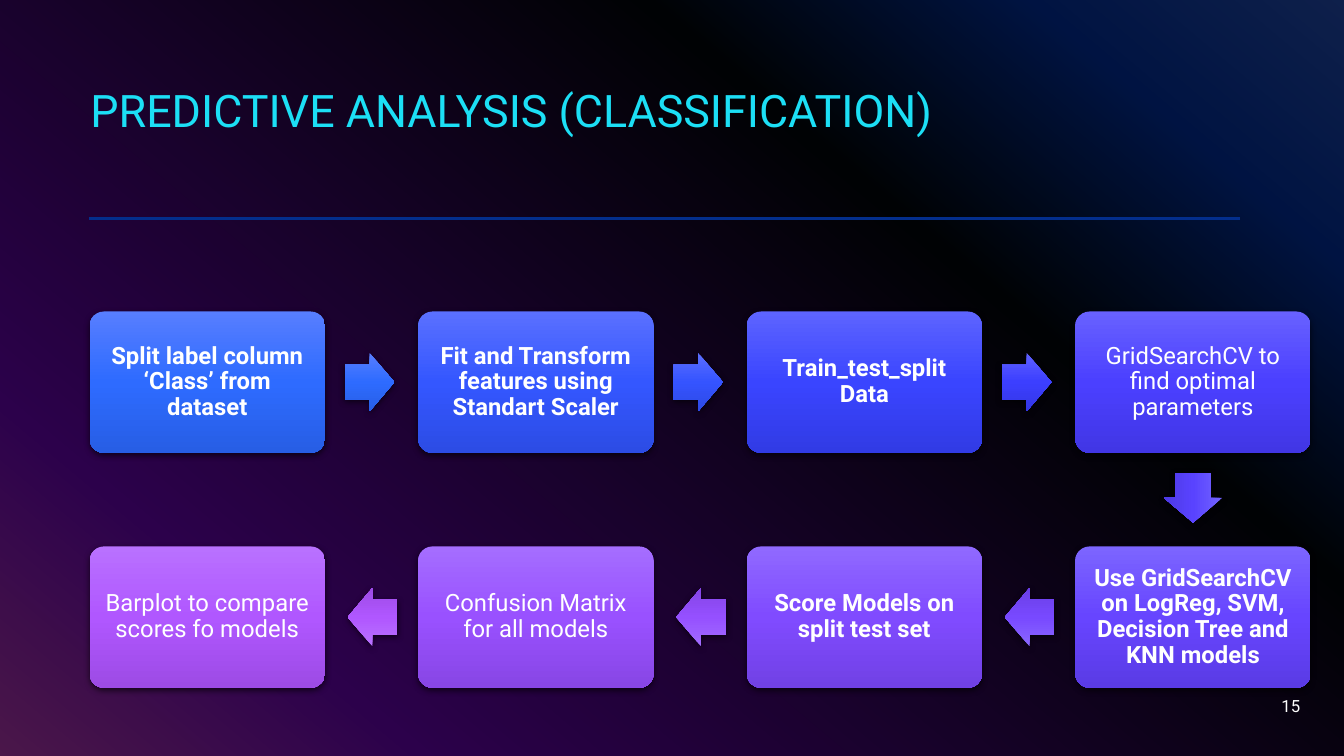
from dataclasses import dataclass

from lxml.etree import SubElement
from pptx import Presentation
from pptx.dml.color import RGBColor
from pptx.enum.shapes import MSO_CONNECTOR as Connector, MSO_SHAPE as Shape
from pptx.enum.text import MSO_ANCHOR as Anchor, PP_ALIGN as Align
from pptx.oxml.ns import qn
from pptx.util import Cm, Pt


@dataclass(frozen=True)
class Theme:
    font: str = "Roboto"
    title_size: int = 32
    step_size: int = 17
    number_size: int = 12
    title: str = "1CDFF5"
    text: str = "FFFFFF"
    rule: str = "032E8C"
    dark: str = "000000"
    backdrop: tuple = ((0, "316CFC"), (14, "0343DF"), (31, "02090E"),
                       (81, "9405FC"), (100, "FC4EFB"))


@dataclass(frozen=True)
class Step:
    text: str
    bold: bool
    box_colors: str
    arrow_colors: str = ""


THEME = Theme()
WIDTH, HEIGHT = 33.87, 19.05

# Flow grid, in centimetres
COLUMNS = 4
LEFT, PITCH = 2.26, 8.28
ROW_TOPS = (7.85, 13.77)
BOX_WIDTH, BOX_HEIGHT = 5.93, 3.56
ARROW_LENGTH, ARROW_BREADTH = 1.25, 1.47

# Colours run from top to bottom of each shape
STEPS = (
    Step("Split label column ‘Class’ from dataset", True,
         "577EFF 2E6BFF 275EE5", "577EFF 2E6BFF 275EE5"),
    Step("Fit and Transform features using Standart Scaler", True,
         "5A70FF 3457FF 2C4CE5", "5B6EFF 3554FF 2D49E5"),
    Step("Train_test_split Data", True,
         "5D64FF 3A45FF 313BE5", "5E60FF 3C3FFF 3336E5"),
    Step("GridSearchCV to find optimal parameters", False,
         "6861FF 4B40FF 4136E5", "7263FF 5943FF 4D39E5"),
    Step("Use GridSearchCV on LogReg, SVM, Decision Tree and KNN models", True,
         "7C65FF 6745FF 5A3BE5", "8A67FF 7849FF 6A3FE5"),
    Step("Score Models on split test set", True,
         "9069FF 804BFF 7141E5", "A26CFF 9550FF 8445E5"),
    Step("Confusion Matrix for all models", False,
         "A56DFF 9951FF 8846E5", "B971FF B057FF 9D4BE5"),
    Step("Barplot to compare scores fo models", False,
         "B971FF B057FF 9D4BE5"),
)


def add_color(parent, color, alpha=100):
    node = SubElement(parent, qn("a:srgbClr"), val=color)
    if alpha < 100:
        SubElement(node, qn("a:alpha"), val=str(alpha * 1000))


def set_gradient(owner, fill, stops, angle):
    """Fill with any number of stops; the angle runs clockwise."""
    fill.gradient()
    fill.gradient_angle = 360 - angle
    stop_list = next(owner._element.iter(qn("a:gsLst")))
    for stop in list(stop_list):
        stop_list.remove(stop)
    for position, color in stops:
        stop = SubElement(stop_list, qn("a:gs"), pos=str(position * 1000))
        add_color(stop, color)


def write_text(shape, text, size, color, align, anchor, bold=False):
    frame = shape.text_frame
    frame.word_wrap = True
    frame.vertical_anchor = anchor
    frame.text = text
    paragraph = frame.paragraphs[0]
    paragraph.alignment = align
    paragraph.line_spacing = 0.9
    font = paragraph.runs[0].font
    font.name, font.size, font.bold = THEME.font, Pt(size), bold
    font.color.rgb = RGBColor.from_string(color)


def add_label(slide, box, *style):
    label = slide.shapes.add_textbox(*map(Cm, box))
    write_text(label, *style)


def add_backdrop(slide):
    set_gradient(slide, slide.background.fill, THEME.backdrop, 130)
    veil = slide.shapes.add_shape(Shape.RECTANGLE, 0, 0, Cm(WIDTH), Cm(HEIGHT))
    veil.shadow.inherit = False
    veil.line.fill.background()
    veil.fill.solid()
    veil.fill.fore_color.rgb = RGBColor.from_string(THEME.dark)
    color = veil._element.spPr.find(qn("a:solidFill"))[0]
    SubElement(color, qn("a:alpha"), val="70000")


def add_rule(slide):
    rule = slide.shapes.add_connector(
        Connector.STRAIGHT, Cm(2.24), Cm(5.5), Cm(31.24), Cm(5.5))
    rule.line.width = Pt(2)
    rule.line.color.rgb = RGBColor.from_string(THEME.rule)
    SubElement(rule._element.spPr, qn("a:effectLst"))


def add_glossy_shape(slide, kind, box, colors, adjustments):
    shape = slide.shapes.add_shape(kind, *map(Cm, box))
    for index, value in enumerate(adjustments):
        shape.adjustments[index] = value
    set_gradient(shape, shape.fill, zip((0, 50, 100), colors.split()), 90)
    shape.line.fill.background()
    shape.shadow.inherit = False
    effects = shape._element.spPr.find(qn("a:effectLst"))
    shadow = SubElement(effects, qn("a:outerShdw"), blurRad=str(Pt(4.5)),
                        dist=str(Pt(1.5)), dir="5400000", rotWithShape="0")
    add_color(shadow, THEME.dark, 63)
    return shape


def add_step(slide, step, left, top):
    box = add_glossy_shape(slide, Shape.ROUNDED_RECTANGLE,
                           (left, top, BOX_WIDTH, BOX_HEIGHT),
                           step.box_colors, (0.1,))
    frame = box.text_frame
    frame.margin_left = frame.margin_right = Cm(0.18)
    frame.margin_top = frame.margin_bottom = Cm(0.18)
    write_text(box, step.text, THEME.step_size, THEME.text,
               Align.CENTER, Anchor.MIDDLE, step.bold)


def add_arrow(slide, colors, left, top, rotation):
    arrow = add_glossy_shape(slide, Shape.RIGHT_ARROW,
                             (left, top, ARROW_LENGTH, ARROW_BREADTH),
                             colors, (0.6, 0.5))
    arrow.rotation = rotation


def add_flow(slide):
    """Steps run right along the first row, then back along the second."""
    for index, step in enumerate(STEPS):
        row, offset = divmod(index, COLUMNS)
        column = COLUMNS - 1 - offset if row else offset
        left, top = LEFT + column * PITCH, ROW_TOPS[row]
        add_step(slide, step, left, top)
        if index == len(STEPS) - 1:
            continue
        arrow_top = top + (BOX_HEIGHT - ARROW_BREADTH) / 2
        if row:
            add_arrow(slide, step.arrow_colors, left - PITCH + 6.5, arrow_top, 180)
        elif offset < COLUMNS - 1:
            add_arrow(slide, step.arrow_colors, left + 6.43, arrow_top, 0)
        else:
            middle = left + (BOX_WIDTH - ARROW_LENGTH) / 2
            add_arrow(slide, step.arrow_colors, middle, 11.81, 90)


def main():
    presentation = Presentation()
    presentation.slide_width, presentation.slide_height = Cm(WIDTH), Cm(HEIGHT)
    slide = presentation.slides.add_slide(presentation.slide_layouts[6])

    # Background and header
    add_backdrop(slide)
    add_rule(slide)
    add_label(slide, (2.03, 1.19, 29.21, 2.39), "PREDICTIVE ANALYSIS (CLASSIFICATION)",
              THEME.title_size, THEME.title, Align.LEFT, Anchor.BOTTOM)

    # Process flow and slide number
    add_flow(slide)
    add_label(slide, (25.4, 17.3, 7.62, 1.02), "15",
              THEME.number_size, THEME.text, Align.RIGHT, Anchor.MIDDLE)

    presentation.save("out.pptx")


if __name__ == "__main__":
    main()
